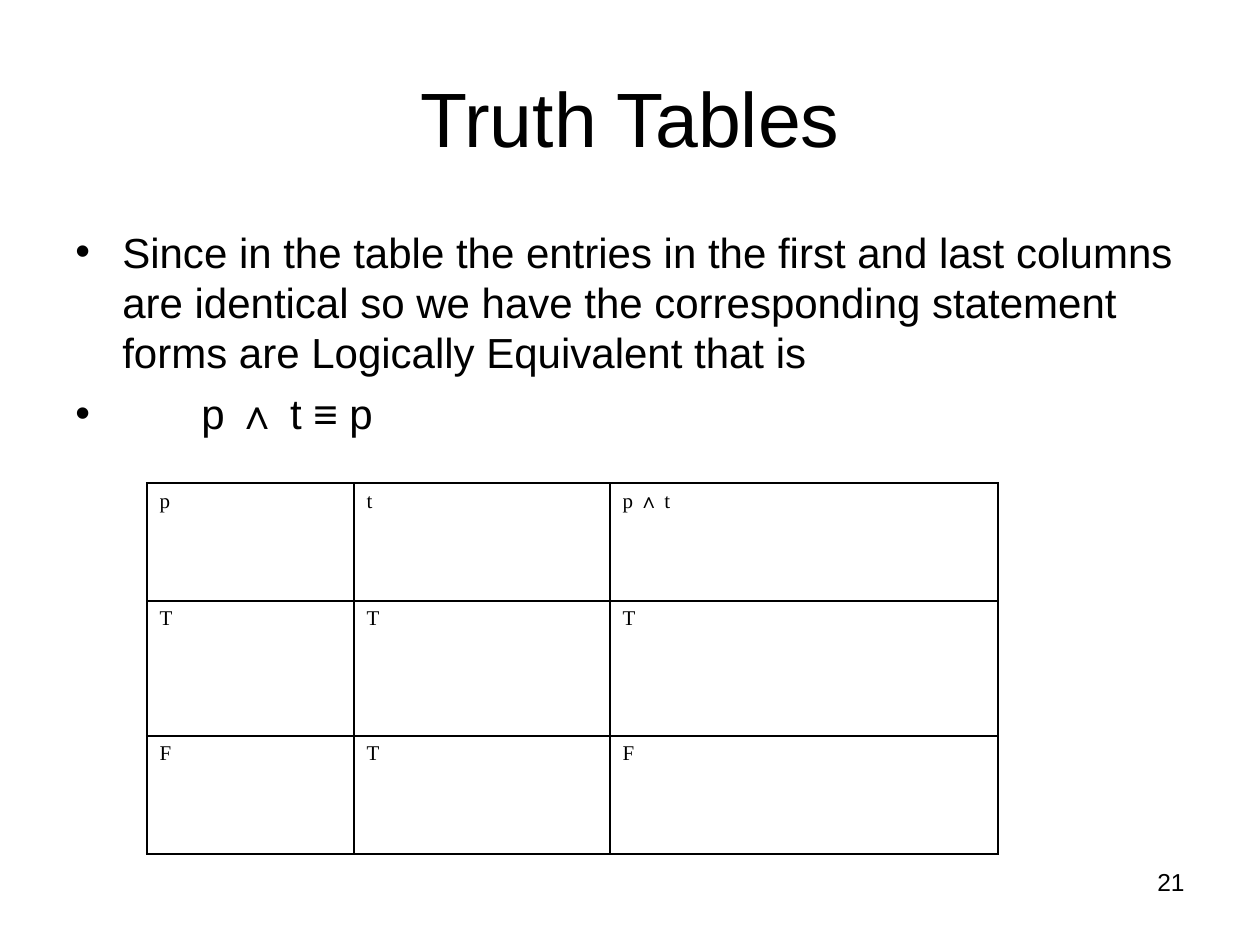
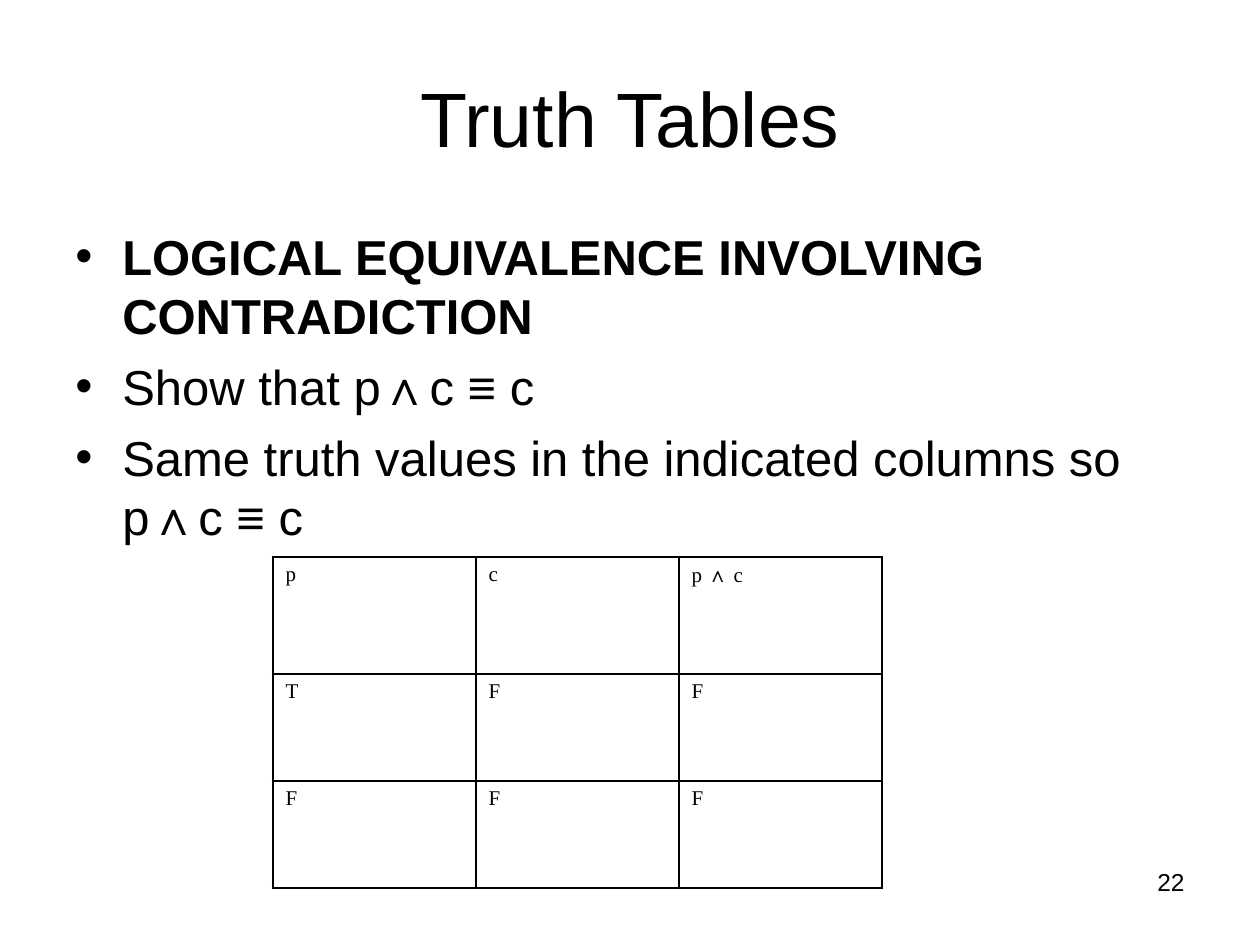
from lxml.etree import SubElement
from pptx import Presentation
from pptx.dml.color import RGBColor
from pptx.enum.text import MSO_ANCHOR, PP_ALIGN
from pptx.oxml.ns import qn
from pptx.util import Pt

PX = 914400 / 126
WIDE, HIGH = 1260, 945
INDENT, TAB = 47, 126
COLORS = {"ink": "000000", "page": "FFFFFF"}
SANS, SERIF = "Arial", "Times New Roman"
THIN, THICK = 0.96, 1.47
AND = "∧"
TITLE = "Truth Tables"
TITLE_BOX = (63, 38, 1134, 158)
PAGE_BOX = (903, 861, 294, 66)

SLIDES = [
    {
        "page": 21,
        "body": (63, 220, 1134, 242),
        "size": 24,
        "gap": 6,
        "points": [
            ("Since in the table the entries in the first and last columns are "
             "identical so we have the corresponding statement forms are "
             "Logically Equivalent that is", False),
            ("\tp ∧ t ≡ p", False),
        ],
        "origin": (147, 483),
        "cols": [207, 256, 388],
        "rows": [118, 135, 118],
        "truth": [["p", "t", "p ∧ t"], ["T", "T", "T"], ["F", "T", "F"]],
    },
    {
        "page": 22,
        "body": (63, 220, 1134, 336),
        "size": 28,
        "gap": 7,
        "points": [
            ("LOGICAL EQUIVALENCE INVOLVING CONTRADICTION", True),
            ("Show that p∧c ≡ c", False),
            ("Same truth values in the indicated columns so p∧c ≡ c", False),
        ],
        "origin": (273, 557),
        "cols": [203] * 3,
        "rows": [117, 107, 107],
        "truth": [["p", "c", "p ∧ c"], ["T", "F", "F"], ["F", "F", "F"]],
    },
]


def emu(px):
    return round(px * PX)


def style(para, size, face=SANS, bold=False):
    font = para.font
    font.size, font.name, font.bold = Pt(size), face, bold
    font.color.rgb = RGBColor.from_string(COLORS["ink"])


def add_box(slide, box):
    frame = slide.shapes.add_textbox(*map(emu, box)).text_frame
    frame.word_wrap = True
    return frame


def add_line(slide, box, text, size, align, anchor):
    frame = add_box(slide, box)
    frame.vertical_anchor = anchor
    para = frame.paragraphs[0]
    para.text, para.alignment = text, align
    style(para, size)


def add_bullet(para):
    """Give the paragraph a hanging bullet and one tab stop."""
    props = para._p.get_or_add_pPr()
    props.set("marL", str(emu(INDENT)))
    props.set("indent", str(-emu(INDENT)))
    tint = SubElement(props, qn("a:buClr"))
    SubElement(tint, qn("a:srgbClr"), val=COLORS["ink"])
    SubElement(props, qn("a:buFont"), typeface=SANS)
    SubElement(props, qn("a:buChar"), char="•")
    tabs = SubElement(props, qn("a:tabLst"))
    SubElement(tabs, qn("a:tab"), pos=str(emu(TAB)), algn="l")


def add_points(slide, data):
    frame = add_box(slide, data["body"])
    for i, (text, bold) in enumerate(data["points"]):
        para = frame.add_paragraph() if i else frame.paragraphs[0]
        para.text = text
        add_bullet(para)
        if i:
            para.space_before = Pt(data["gap"])
        style(para, data["size"], bold=bold)


def add_edges(cell, thick):
    """Draw the four borders; the sides in thick get the heavier line."""
    props = cell._tc.get_or_add_tcPr()
    for side in "LRTB":
        width = Pt(THICK if side in thick else THIN)
        line = SubElement(props, qn(f"a:ln{side}"), w=str(width))
        fill = SubElement(line, qn("a:solidFill"))
        SubElement(fill, qn("a:srgbClr"), val=COLORS["ink"])


def fill_cell(cell, text):
    para = cell.text_frame.paragraphs[0]
    style(para, 12, SERIF)
    for part in filter(None, text.partition(AND)):
        run = para.add_run()
        run.text = part
        if part == AND:
            run.font.name = SANS


def add_truth(slide, data):
    cols, rows = data["cols"], data["rows"]
    box = (*data["origin"], sum(cols), sum(rows))
    table = slide.shapes.add_table(len(rows), len(cols), *map(emu, box)).table
    table.first_row = table.horz_banding = False
    for col, width in zip(table.columns, cols):
        col.width = emu(width)
    for row, height in zip(table.rows, rows):
        row.height = emu(height)
    end, base = len(cols) - 1, len(rows) - 1
    for r, line in enumerate(data["truth"]):
        for c, text in enumerate(line):
            cell = table.cell(r, c)
            fill_cell(cell, text)
            outer = {"L": c == 0, "R": c == end, "B": r == base,
                     "T": r == 0 and c == end}
            add_edges(cell, [side for side, on in outer.items() if on])
            cell.fill.background()


def main():
    deck = Presentation()
    deck.slide_width, deck.slide_height = emu(WIDE), emu(HIGH)
    for data in SLIDES:
        slide = deck.slides.add_slide(deck.slide_layouts[6])
        back = slide.background.fill
        back.solid()
        back.fore_color.rgb = RGBColor.from_string(COLORS["page"])
        add_line(slide, PAGE_BOX, str(data["page"]), 14,
                 PP_ALIGN.RIGHT, MSO_ANCHOR.TOP)
        add_line(slide, TITLE_BOX, TITLE, 44,
                 PP_ALIGN.CENTER, MSO_ANCHOR.MIDDLE)
        add_points(slide, data)
        add_truth(slide, data)
    deck.save("out.pptx")


if __name__ == "__main__":
    main()
